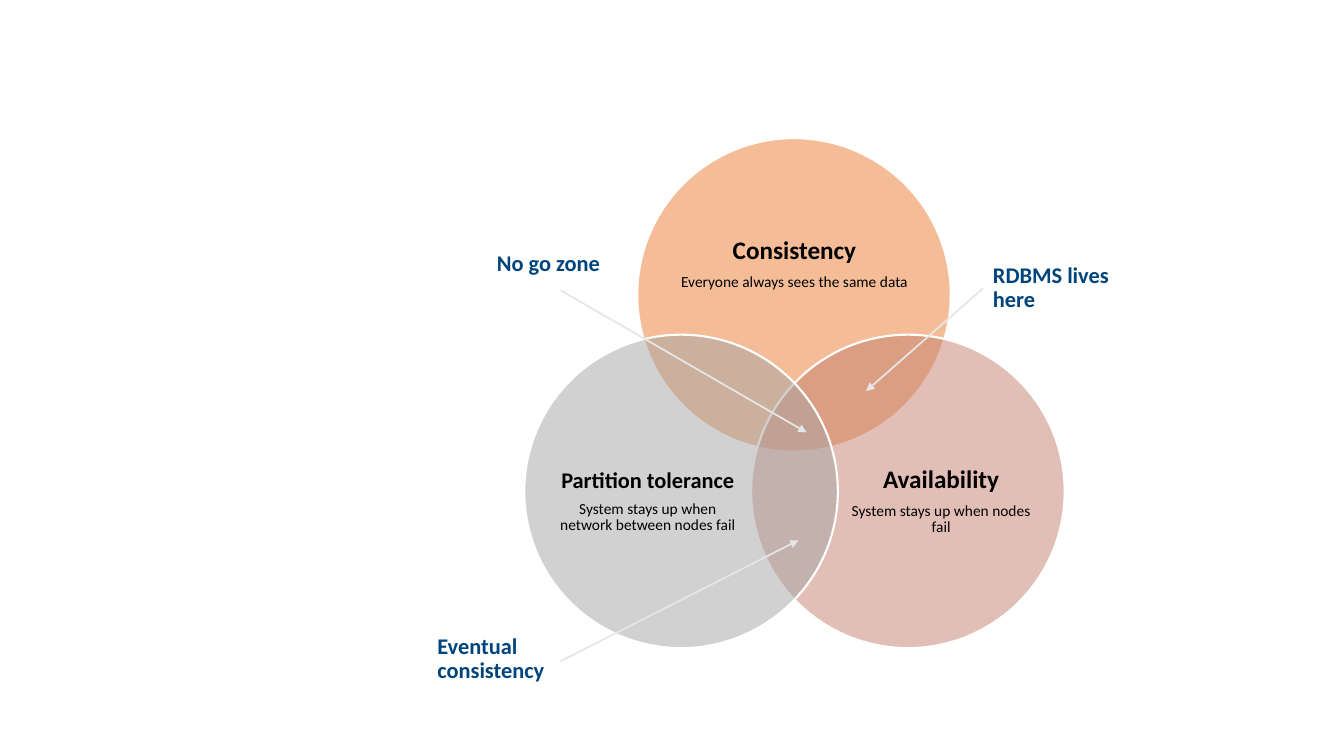
from lxml import etree
from pptx import Presentation
from pptx.dml.color import RGBColor
from pptx.enum.shapes import MSO_CONNECTOR, MSO_SHAPE
from pptx.enum.text import MSO_ANCHOR as ANCHOR, MSO_AUTO_SIZE as AUTO, PP_ALIGN as ALIGN
from pptx.oxml.ns import qn
from pptx.util import Inches, Pt

COLORS = {
    "consistency": "ED7D31",
    "availability": "C48170",
    "partition": "A5A5A5",
    "outline": "FFFFFF",
    "text": "000000",
    "callout": "00447C",
    "arrow": "E7E6E6",
}
DIAMETER = 3.11
DETAIL_SIZE = 11

# colour, circle left/top, text box, title, title size, detail
CIRCLES = [
    ("consistency", (6.32, 1.37), (6.74, 1.92, 2.28, 1.4),
     "Consistency", 18, "Everyone always sees the same data"),
    ("availability", (7.45, 3.32), (8.4, 4.12, 1.87, 1.71),
     "Availability", 18, "System stays up when nodes fail"),
    ("partition", (5.2, 3.32), (5.49, 4.12, 1.87, 1.71),
     "Partition tolerance", 16, "System stays up when network between nodes fail"),
]

# text, text box, arrow start, arrow end
CALLOUTS = [
    ("RDBMS lives here", (9.75, 2.57, 1.45, 0.59), (9.75, 2.86), (8.59, 3.88)),
    ("Eventual consistency", (4.24, 6.25, 2.07, 0.59), (5.56, 6.56), (7.92, 5.36)),
    ("No go zone", (4.83, 2.45, 1.45, 0.34), (5.56, 2.88), (8, 4.29)),
]


def rgb(name):
    return RGBColor.from_string(COLORS[name])


def inches(values):
    return [Inches(v) for v in values]


def set_all(obj, values):
    for name, value in values.items():
        setattr(obj, name, value)


class VennSlide:
    """Holds the slide and the style shared by its elements."""

    font = "Calibri"
    line_spacing = 0.9

    def __init__(self, prs):
        self.s = prs.slides.add_slide(prs.slide_layouts[6])

    def circle(self, color, left, top):
        """Add a half-transparent circle with a white outline."""
        sp = self.s.shapes.add_shape(
            MSO_SHAPE.OVAL, *inches((left, top, DIAMETER, DIAMETER)))
        sp.shadow.inherit = False
        sp.fill.solid()
        sp.fill.fore_color.rgb = rgb(color)
        fill = sp.fill.fore_color._xFill
        etree.SubElement(fill[0], qn("a:alpha"), val="50000")
        sp.line.color.rgb = rgb("outline")
        sp.line.width = Pt(1.5)

    def text(self, box, lines, color, frame, para):
        """Add a text box; lines are (text, size, bold, space after)."""
        tf = self.s.shapes.add_textbox(*inches(box)).text_frame
        set_all(tf, {"word_wrap": True, **frame})
        for i, (text, size, bold, after) in enumerate(lines):
            p = tf.add_paragraph() if i else tf.paragraphs[0]
            set_all(p, {"line_spacing": self.line_spacing,
                        "space_after": Pt(after), **para})
            r = p.add_run()
            r.text = text
            set_all(r.font, {"name": self.font, "size": Pt(size), "bold": bold})
            r.font.color.rgb = rgb(color)

    def circle_text(self, box, title, size, detail):
        margins = {f"margin_{side}": 0 for side in ("left", "right", "top", "bottom")}
        lines = [(title, size, True, round(0.35 * size, 1)),
                 (detail, DETAIL_SIZE, False, round(0.35 * DETAIL_SIZE, 1))]
        self.text(box, lines, "text", {"vertical_anchor": ANCHOR.MIDDLE, **margins},
                  {"alignment": ALIGN.CENTER})

    def callout(self, text, box):
        self.text(box, [(text, 16, True, 0)], "callout",
                  {"auto_size": AUTO.SHAPE_TO_FIT_TEXT}, {"space_before": Pt(6)})

    def arrow(self, start, end):
        c = self.s.shapes.add_connector(
            MSO_CONNECTOR.STRAIGHT, *inches(start + end))
        c.line.color.rgb = rgb("arrow")
        c.line.width = Pt(1.25)
        etree.SubElement(c.line._get_or_add_ln(), qn("a:tailEnd"), type="triangle")
        etree.SubElement(c._element.spPr, qn("a:effectLst"))


def main():
    prs = Presentation()
    set_all(prs, {"slide_width": Inches(13.33), "slide_height": Inches(7.5)})
    venn = VennSlide(prs)
    for color, corner, box, title, size, detail in CIRCLES:
        venn.circle(color, *corner)
        venn.circle_text(box, title, size, detail)
    for text, box, start, end in CALLOUTS:
        venn.callout(text, box)
        venn.arrow(start, end)
    prs.save("out.pptx")


if __name__ == "__main__":
    main()
